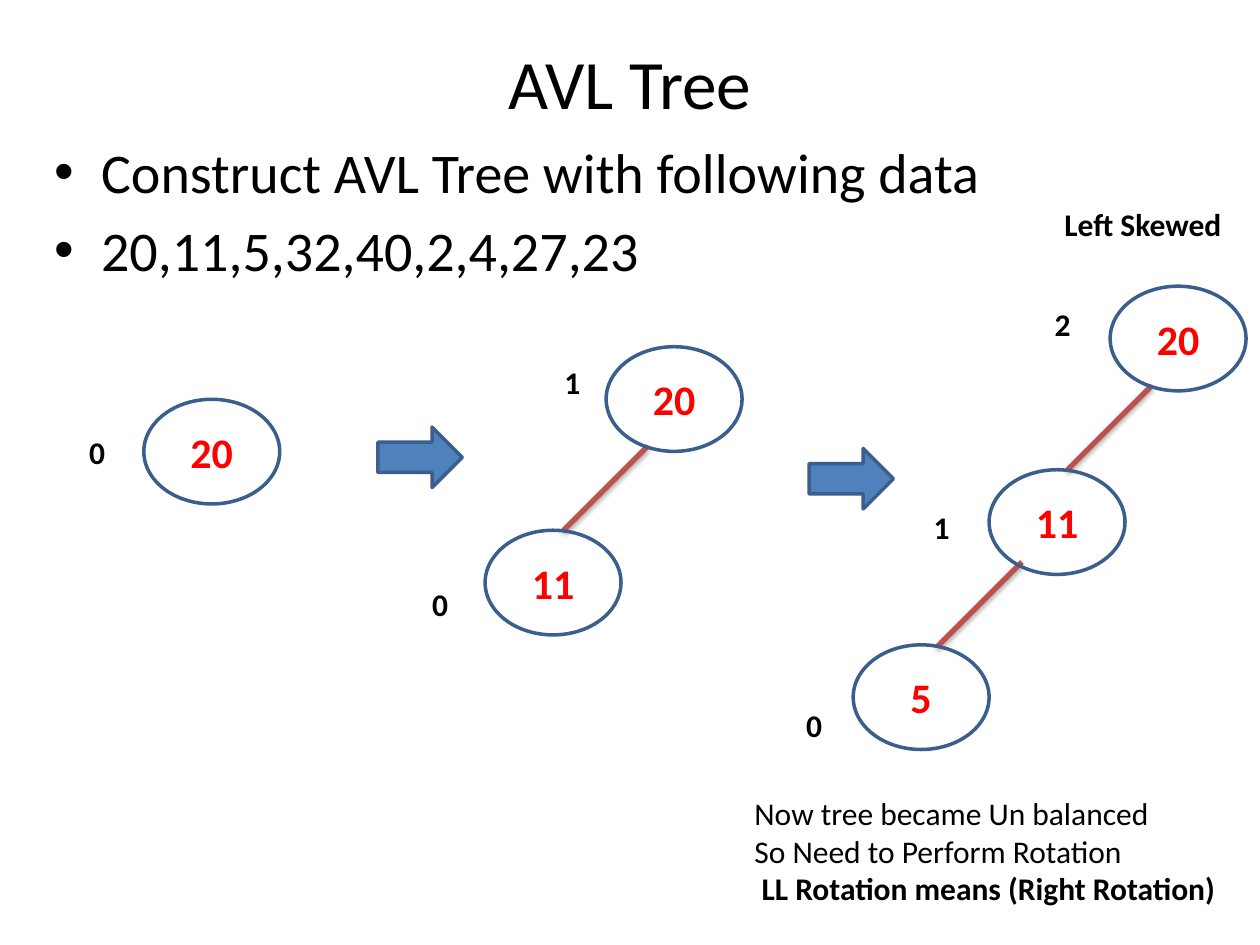
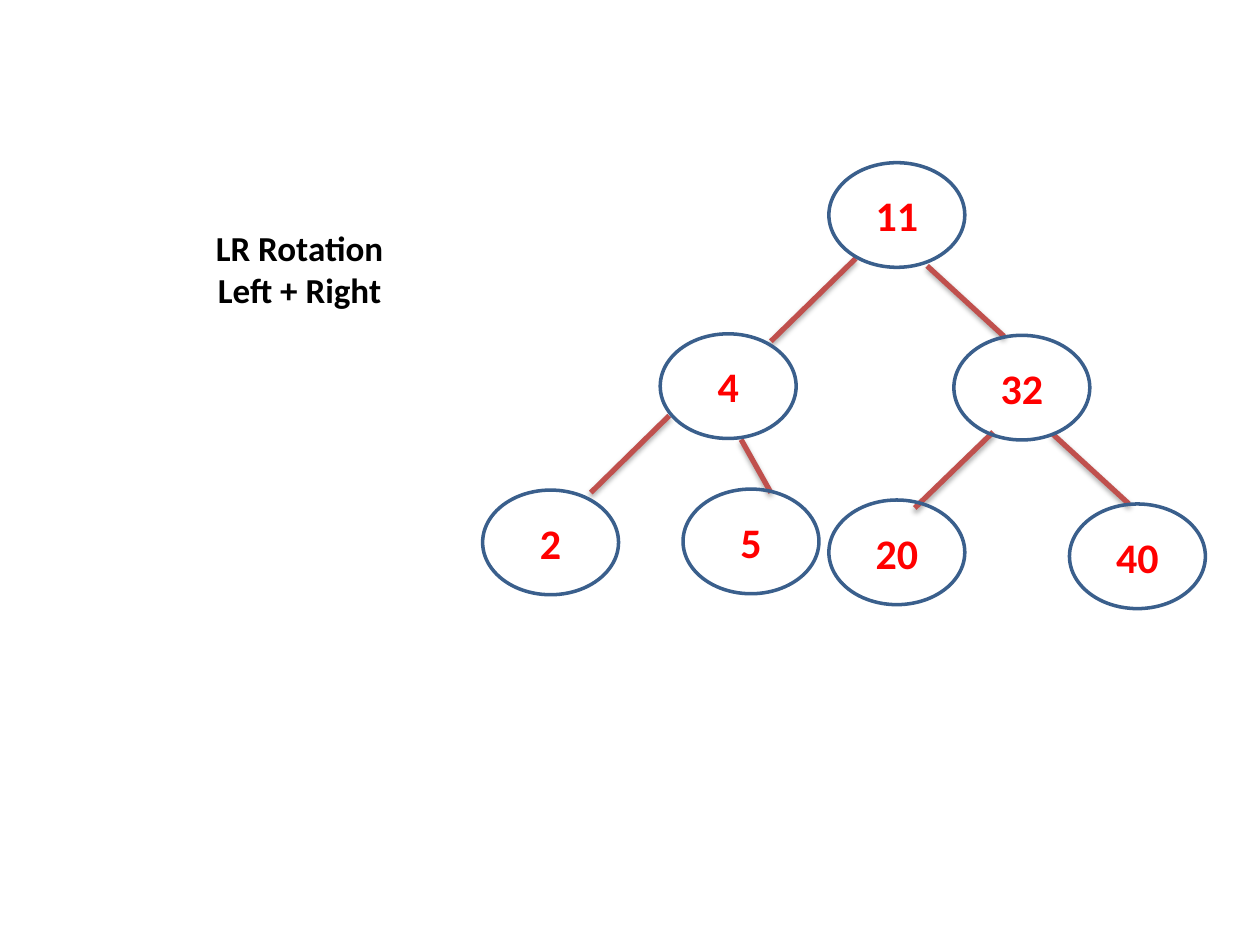
from lxml import etree
from pptx import Presentation
from pptx.dml.color import RGBColor
from pptx.enum.shapes import MSO_CONNECTOR, MSO_SHAPE
from pptx.enum.text import MSO_ANCHOR, MSO_AUTO_SIZE, PP_ALIGN
from pptx.oxml import parse_xml
from pptx.oxml.ns import qn
from pptx.util import Cm, Pt

LEFT, CENTER = PP_ALIGN.LEFT, PP_ALIGN.CENTER
TOP, MIDDLE = MSO_ANCHOR.TOP, MSO_ANCHOR.MIDDLE
GROW = MSO_AUTO_SIZE.SHAPE_TO_FIT_TEXT
OVAL, ARROW = MSO_SHAPE.OVAL, MSO_SHAPE.RIGHT_ARROW
STRAIGHT = MSO_CONNECTOR.STRAIGHT

SHADOW = """<a:effectLst xmlns:a="http://schemas.openxmlformats.org/drawingml/2006/main">
<a:outerShdw blurRad="39370" dist="22860" dir="5400000" rotWithShape="0">
<a:srgbClr val="000000"><a:alpha val="35000"/></a:srgbClr>
</a:outerShdw></a:effectLst>"""


def color(value):
    """Turn a hex string into a colour."""
    return RGBColor.from_string(value)


class Deck:
    """Holds the style and the current slide; lengths are in centimetres."""

    FONT = "Calibri"
    INK, KEY = "000000", "FF0000"
    OUTLINE, FILL, EDGE = "3A5F8C", "4F81BD", "C0504D"
    NODE_SIZE = (2.74, 2.11)
    ARROW_SIZE = (1.7, 1.22)
    FACTOR_SIZE = (1.07, 1.02)

    def __init__(self):
        """Start a 4:3 presentation."""
        self.prs = Presentation()
        self.prs.slide_width, self.prs.slide_height = Cm(25.4), Cm(19.05)
        self.s = None

    def slide(self):
        """Add a blank slide and make it current."""
        self.s = self.prs.slides.add_slide(self.prs.slide_layouts[6])

    def run(self, p, text, size, bold=False, ink=INK):
        """Add one styled run to a paragraph."""
        r = p.add_run()
        r.text = text
        r.font.name, r.font.size, r.font.bold = self.FONT, Pt(size), bold
        r.font.color.rgb = color(ink)

    def text(self, x, y, w, h, lines, size, align=LEFT, anchor=TOP, grow=True):
        """Add a text box; each line is a list of (text, bold) runs."""
        sp = self.s.shapes.add_textbox(Cm(x), Cm(y), Cm(w), Cm(h))
        tf = sp.text_frame
        tf.word_wrap, tf.vertical_anchor = True, anchor
        if grow:
            tf.auto_size = GROW
        for i, runs in enumerate(lines):
            p = tf.add_paragraph() if i else tf.paragraphs[0]
            p.alignment = align
            for text, bold in runs:
                self.run(p, text, size, bold)
        return tf

    def title(self, text):
        """Add the centred slide title."""
        self.text(1.27, 0.76, 22.86, 1.78, [[(text, False)]], 39.6,
                  CENTER, MIDDLE, grow=False)

    def bullets(self, items):
        """Add the bulleted body text."""
        tf = self.text(0.84, 2.64, 24.13, 14.4,
                       [[(item, False)] for item in items], 32, grow=False)
        for p in tf.paragraphs:
            p.space_before = Pt(6.4)
            pPr = p._p.get_or_add_pPr()
            pPr.set("marL", str(Cm(0.95)))
            pPr.set("indent", str(-Cm(0.95)))
            etree.SubElement(pPr, qn("a:buFont")).set("typeface", "Arial")
            etree.SubElement(pPr, qn("a:buChar")).set("char", "•")

    def shape(self, kind, x, y, size):
        """Add an outlined preset shape."""
        w, h = size
        sp = self.s.shapes.add_shape(kind, Cm(x), Cm(y), Cm(w), Cm(h))
        sp.shadow.inherit = False
        sp.line.color.rgb, sp.line.width = color(self.OUTLINE), Pt(2)
        return sp

    def node(self, key, x, y):
        """Add a tree node with its key."""
        sp = self.shape(OVAL, x, y, self.NODE_SIZE)
        sp.fill.background()
        tf = sp.text_frame
        tf.word_wrap, tf.vertical_anchor = True, MIDDLE
        p = tf.paragraphs[0]
        p.alignment = CENTER
        self.run(p, key, 24, True, self.KEY)

    def arrow(self, x, y):
        """Add a block arrow to the next step."""
        sp = self.shape(ARROW, x, y, self.ARROW_SIZE)
        sp.fill.solid()
        sp.fill.fore_color.rgb = color(self.FILL)

    def edge(self, x1, y1, x2, y2):
        """Add a tree edge with a soft shadow."""
        c = self.s.shapes.add_connector(STRAIGHT, Cm(x1), Cm(y1), Cm(x2), Cm(y2))
        c.line.color.rgb, c.line.width = color(self.EDGE), Pt(3)
        c._element.spPr.append(parse_xml(SHADOW))

    def factor(self, value, x, y):
        """Add the balance factor beside a node."""
        self.text(x, y, *self.FACTOR_SIZE, [[(value, True)]], 18)


def insertion_slide(deck):
    """Insert 20, 11 and 5 until the tree leans left."""
    deck.slide()
    deck.title("AVL Tree")
    deck.bullets(["Construct AVL Tree with following data",
                  "20,11,5,32,40,2,4,27,23"])
    for x, y in [(13.06, 8.99), (23.22, 7.77), (20.6, 11.33)]:
        deck.edge(x, y, x - 1.7, y + 1.7)
    for key, x, y in [("20", 2.9, 8.05),
                      ("20", 12.22, 6.99), ("11", 9.78, 10.69),
                      ("20", 22.38, 5.77), ("11", 19.94, 9.47), ("5", 17.2, 13)]:
        deck.node(key, x, y)
    for value, x, y in [("0", 1.55, 8.61),
                        ("1", 11.13, 7.19), ("0", 8.46, 11.66),
                        ("2", 21.01, 6.02), ("1", 18.57, 10.11), ("0", 16, 14.1)]:
        deck.factor(value, x, y)
    deck.arrow(7.62, 8.61)
    deck.arrow(16.31, 9.04)
    deck.text(14.96, 15.88, 9.8, 2.57,
              [[("Now tree became Un balanced", False)],
               [("So Need to Perform Rotation", False)],
               [(" ", False), ("LL Rotation means (Right Rotation)", True)]], 18)
    deck.text(21.16, 4.01, 3.76, 1.02, [[("Left Skewed", True)]], 18, CENTER)


def rotation_slide(deck):
    """Show the tree after the LR rotation."""
    deck.slide()
    for ends in [(17.25, 5.21, 15.54, 6.88), (18.69, 5.36, 20.24, 6.78),
                 (13.49, 8.38, 11.91, 9.93), (14.94, 8.86, 15.54, 9.93),
                 (20.02, 8.71, 18.44, 10.24), (21.21, 8.74, 22.76, 10.16)]:
        deck.edge(*ends)
    for key, x, y in [("11", 16.71, 3.28),
                      ("4", 13.31, 6.73), ("32", 19.23, 6.76),
                      ("2", 9.73, 9.88), ("5", 13.77, 9.86),
                      ("20", 16.71, 10.08), ("40", 21.56, 10.16)]:
        deck.node(key, x, y)
    deck.text(1.91, 4.45, 8.26, 1.96,
              [[("LR Rotation", True)], [("Left + Right", True)]], 20, CENTER)


deck = Deck()
insertion_slide(deck)
rotation_slide(deck)
deck.prs.save("out.pptx")
